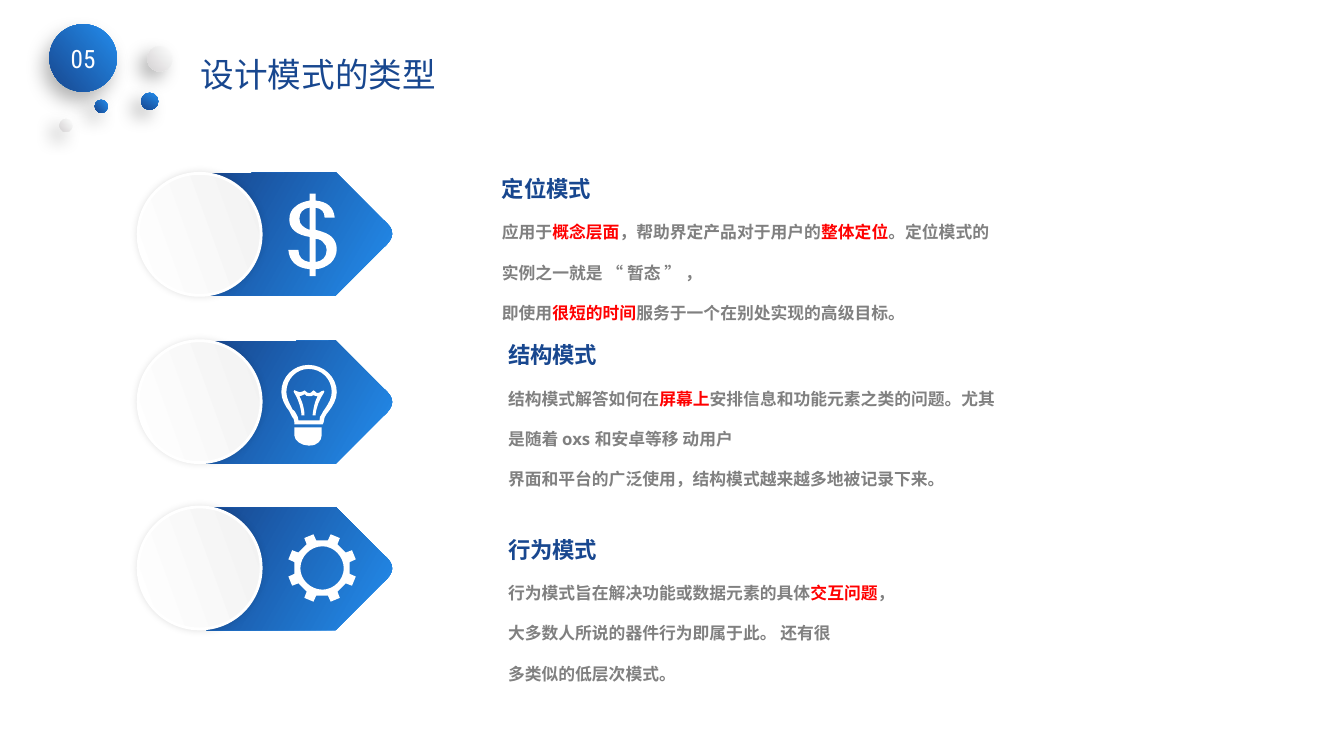
"""Build the slide on the three types of design pattern."""
from math import cos, radians, sin

from lxml import etree
from pptx import Presentation
from pptx.dml.color import RGBColor
from pptx.enum.shapes import MSO_SHAPE
from pptx.enum.text import MSO_ANCHOR, MSO_AUTO_SIZE, PP_ALIGN
from pptx.oxml.ns import qn
from pptx.util import Pt

PX = 9144
OVAL = MSO_SHAPE.OVAL
LEFT, CENTER = PP_ALIGN.LEFT, PP_ALIGN.CENTER
TOP, MIDDLE = MSO_ANCHOR.TOP, MSO_ANCHOR.MIDDLE
FIT = MSO_AUTO_SIZE.SHAPE_TO_FIT_TEXT

NAVY = RGBColor(0x18, 0x47, 0x8F)
SKY = RGBColor(0x23, 0x8D, 0xED)
WHITE = RGBColor(0xFF, 0xFF, 0xFF)
PALE = RGBColor(0xF2, 0xF2, 0xF2)
SILVER = RGBColor(0xD4, 0xD2, 0xD3)
GREY = RGBColor(0x80, 0x80, 0x80)
RED = RGBColor(0xFF, 0x00, 0x00)
BLUES, WHITES, SILVERS = (SKY, NAVY), (WHITE, PALE), (WHITE, SILVER)

TITLE = {"name": "Open Sans", "size": Pt(24), "bold": False}
HEADING = {"name": "Open Sans", "size": Pt(16), "bold": True}
BODY = {"name": "Open Sans", "size": Pt(12), "bold": True}
NUMBER = {"name": "Roboto Condensed", "size": Pt(18), "bold": False}

BALL_SHADOW = (30, 14, 8, 120)
DOT_SHADOW = (30, 13, 8, 135)
DISC_SHADOW = (11, 5, 0, 0)
DOTS = [
    (146, 46, 25, SILVERS, 140),
    (59, 118, 13, SILVERS, 140),
    (94, 99, 13, BLUES, 140),
    (140, 92, 17, BLUES, 120),
]
BADGE_TOPS = [(171, 172), (338, 338), (503, 503)]
PATTERNS = [
    (488, 142, 517, "定位模式", [
        "应用于|概念层面|，帮助界定产品对于用户的|整体定位|。定位模式的实例之一就是 “ 暂态 ” ，",
        "即使用|很短的时间|服务于一个在别处实现的高级目标。"]),
    (494, 307, 511, "结构模式", [
        "结构模式解答如何在|屏幕上|安排信息和功能元素之类的问题。尤其是随着 oxs 和安卓等移 动用户",
        "界面和平台的广泛使用，结构模式越来越多地被记录下来。"]),
    (494, 500, 409, "行为模式", [
        "行为模式旨在解决功能或数据元素的具体|交互问题|，大多数人所说的器件行为即属于此。 还有很",
        "多类似的低层次模式。"]),
]

ARROW = [(333, 0), (380, 47), (386, 52, 389, 56, 389, 61), (389, 65, 386, 70, 380, 75),
         (333, 122), (205, 122), (205, 1)]
DOLLAR = [
    [(313, 228), (321, 230, 326, 232, 329, 235), (332, 238, 334, 242, 334, 247),
     (334, 252, 332, 257, 328, 261), (324, 264, 319, 267, 313, 267), (313, 274), (307, 274),
     (307, 267), (294, 266, 287, 259, 286, 248), (296, 248), (296, 255, 300, 259, 307, 260),
     (307, 235), (294, 233, 287, 227, 287, 218), (287, 212, 289, 208, 293, 205),
     (296, 202, 301, 200, 307, 199), (307, 192), (313, 192), (313, 199),
     (324, 200, 331, 205, 332, 216), (322, 216), (322, 210, 319, 207, 313, 206)],
    [(307, 228), (307, 206), (300, 207, 297, 211, 297, 217), (297, 220, 298, 223, 300, 224),
     (302, 226, 304, 227, 307, 228)],
    [(313, 260), (320, 259, 324, 255, 324, 248), (324, 245, 323, 242, 321, 241),
     (320, 239, 317, 237, 313, 237)],
]
BULB_GLASS = [
    [(292, 421), (292, 419), (292, 418, 291, 414, 290, 414), (289, 412, 288, 410, 287, 408),
     (283, 403, 279, 396, 279, 389), (279, 374, 291, 362, 306, 362),
     (321, 362, 334, 374, 334, 389), (334, 396, 330, 403, 326, 408),
     (324, 410, 323, 412, 322, 414), (322, 414, 321, 418, 321, 419), (320, 421)],
    [(296, 417), (317, 417), (317, 415, 317, 412, 319, 411), (320, 409, 321, 407, 322, 406),
     (326, 400, 329, 395, 329, 389), (329, 376, 319, 366, 306, 366),
     (294, 366, 284, 376, 284, 389), (284, 395, 287, 400, 290, 406),
     (292, 407, 293, 409, 294, 411), (295, 412, 296, 415, 296, 417)],
]
BULB_BASE = [[(292, 424), (292, 432), (292, 437, 299, 442, 306, 442), (307, 442),
              (315, 442, 319, 437, 319, 432), (319, 424)]]
BULB_FILAMENT = [
    [(321, 390), (317, 396, 314, 403, 313, 411), (313, 412), (310, 412),
     (311, 404, 312, 399, 315, 393), (314, 393, 312, 393, 311, 392),
     (310, 393, 308, 393, 307, 393), (305, 393, 303, 393, 302, 391),
     (300, 392, 299, 393, 297, 393), (301, 401, 302, 408, 302, 412), (299, 412),
     (299, 408, 297, 398, 292, 390), (291, 389, 291, 388, 292, 387),
     (293, 387, 293, 387, 294, 388), (295, 389, 296, 389, 297, 389),
     (298, 389, 299, 389, 301, 388), (301, 387, 303, 387, 303, 388),
     (304, 389, 305, 390, 307, 390), (308, 390, 309, 389, 310, 388),
     (310, 387, 312, 387, 312, 388), (313, 389, 314, 390, 315, 390),
     (316, 390, 318, 389, 319, 388), (320, 387, 323, 387, 321, 390)],
]
GEAR_TOOTH = ((28, -10.5), (34.5, -8.2), (34.5, 8.2), (28, 10.5))
GEAR_HOLE = [(298, 564), (298, 552, 308, 542, 320, 542), (331, 542, 341, 552, 341, 564),
             (341, 575, 331, 585, 320, 585), (308, 585, 298, 575, 298, 564)]


def to_emu(step):
    """Scale the coordinates of a point or curve to EMU."""
    return [round(value * PX) for value in step]


def gear_rim():
    """Return the outline of eight equal teeth around the gear's centre."""
    corners = [(radius, radians(22.5 + 45 * i + turn))
               for i in range(8) for radius, turn in GEAR_TOOTH]
    return [(319.5 + radius * cos(angle), 563.5 + radius * sin(angle))
            for radius, angle in corners]


def add_outline(shapes, contours):
    """Add a borderless white freeform of closed contours with lines and cubic curves."""
    builder = shapes.build_freeform(*to_emu(contours[0][0]), scale=1.0)
    for i, contour in enumerate(contours):
        if i:
            builder.move_to(*to_emu(contour[0]))
        builder.add_line_segments([to_emu(step[-2:]) for step in contour[1:]], close=True)
    outline = builder.convert_to_shape()
    steps = [step for contour in contours for step in contour[1:]]
    for segment, step in zip(list(outline._element.iter(qn("a:lnTo"))), steps):
        if len(step) == 6:
            segment.tag = qn("a:cubicBezTo")
            segment.remove(segment[0])
            values = to_emu(step)
            for x, y in zip(values[::2], values[1::2]):
                etree.SubElement(segment, qn("a:pt"), x=str(x - outline.left),
                                 y=str(y - outline.top))
    outline.shadow.inherit = False
    outline.fill.solid()
    outline.fill.fore_color.rgb = WHITE
    outline.line.fill.background()
    return outline


def fill_gradient(shape, colours, clockwise):
    """Give a shape a two-colour linear gradient."""
    shape.fill.gradient()
    shape.fill.gradient_angle = (360 - clockwise) % 360
    for stop, colour, position in zip(shape.fill.gradient_stops, colours, (0, 1)):
        stop.color.rgb = colour
        stop.position = position


def add_disc(shapes, left, top, width, height, colours, clockwise, shadow):
    """Add a gradient ellipse with a soft shadow."""
    disc = shapes.add_shape(OVAL, left * PX, top * PX, width * PX, height * PX)
    fill_gradient(disc, colours, clockwise)
    disc.line.fill.background()
    disc.shadow.inherit = False
    alpha, blur, distance, direction = shadow
    effects = disc._element.spPr.find(qn("a:effectLst"))
    outer = etree.SubElement(effects, qn("a:outerShdw"), blurRad=str(Pt(blur)),
                             dist=str(Pt(distance)), dir=str(direction * 60000),
                             algn="ctr", rotWithShape="0")
    black = etree.SubElement(outer, qn("a:srgbClr"), val="000000")
    etree.SubElement(black, qn("a:alpha"), val=str(alpha * 1000))
    return disc


def add_run(paragraph, text, style, colour):
    """Append a formatted run to a paragraph."""
    run = paragraph.add_run()
    run.text = text
    for attribute, value in style.items():
        setattr(run.font, attribute, value)
    run.font.color.rgb = colour


def add_title(slide, text):
    """Place and format the slide title."""
    title = slide.shapes.title
    for attribute, value in {"left": 189, "top": 48, "width": 265, "height": 50}.items():
        setattr(title, attribute, value * PX)
    frame = title.text_frame
    for attribute, value in {"vertical_anchor": TOP, "word_wrap": True, "auto_size": FIT}.items():
        setattr(frame, attribute, value)
    frame.paragraphs[0].alignment = LEFT
    add_run(frame.paragraphs[0], text, TITLE, NAVY)


def add_number(shapes, text):
    """Add the large ball with the section number."""
    ball = add_disc(shapes, 49, 24, 67, 67, BLUES, 140, BALL_SHADOW)
    frame = ball.text_frame
    frame.margin_left = frame.margin_right = 0
    frame.vertical_anchor = MIDDLE
    frame.paragraphs[0].alignment = CENTER
    add_run(frame.paragraphs[0], text, NUMBER, WHITE)


def add_badge(shapes, arrow_top, disc_top):
    """Add a blue arrow with a white disc over its left end."""
    contour = [tuple(v + arrow_top * (i % 2) for i, v in enumerate(step)) for step in ARROW]
    fill_gradient(add_outline(shapes, [contour]), BLUES, 210)
    disc = add_disc(shapes, 137, disc_top, 122, 121, WHITES, 340, DISC_SHADOW)
    disc.line.color.rgb = WHITE
    disc.line.width = Pt(2)


def add_pattern(shapes, left, top, width, heading, lines):
    """Add a heading and its text, with every second piece in red."""
    frame = shapes.add_textbox(left * PX, top * PX, width * PX, 185 * PX).text_frame
    frame.word_wrap = True
    frame.auto_size = FIT
    add_run(frame.paragraphs[0], heading, HEADING, NAVY)
    for line in lines:
        paragraph = frame.add_paragraph()
        for i, piece in enumerate(line.split("|")):
            add_run(paragraph, piece, BODY, RED if i % 2 else GREY)
    for paragraph in frame.paragraphs:
        paragraph.line_spacing = 2.0


def main():
    """Build and save the slide."""
    deck = Presentation()
    deck.slide_width, deck.slide_height = 1333 * PX, 750 * PX
    slide = deck.slides.add_slide(deck.slide_layouts[5])
    shapes = slide.shapes
    add_title(slide, "设计模式的类型")
    for pattern in PATTERNS:
        add_pattern(shapes, *pattern)
    for tops in BADGE_TOPS:
        add_badge(shapes, *tops)
    add_outline(shapes, DOLLAR)
    bulb = shapes.add_group_shape()
    for contours in (BULB_GLASS, BULB_BASE, BULB_FILAMENT):
        add_outline(bulb.shapes, contours)
    add_outline(shapes, [gear_rim(), GEAR_HOLE])
    add_number(shapes, "05")
    for left, top, size, colours, clockwise in DOTS:
        add_disc(shapes, left, top, size, size, colours, clockwise, DOT_SHADOW)
    deck.save("out.pptx")


if __name__ == "__main__":
    main()
